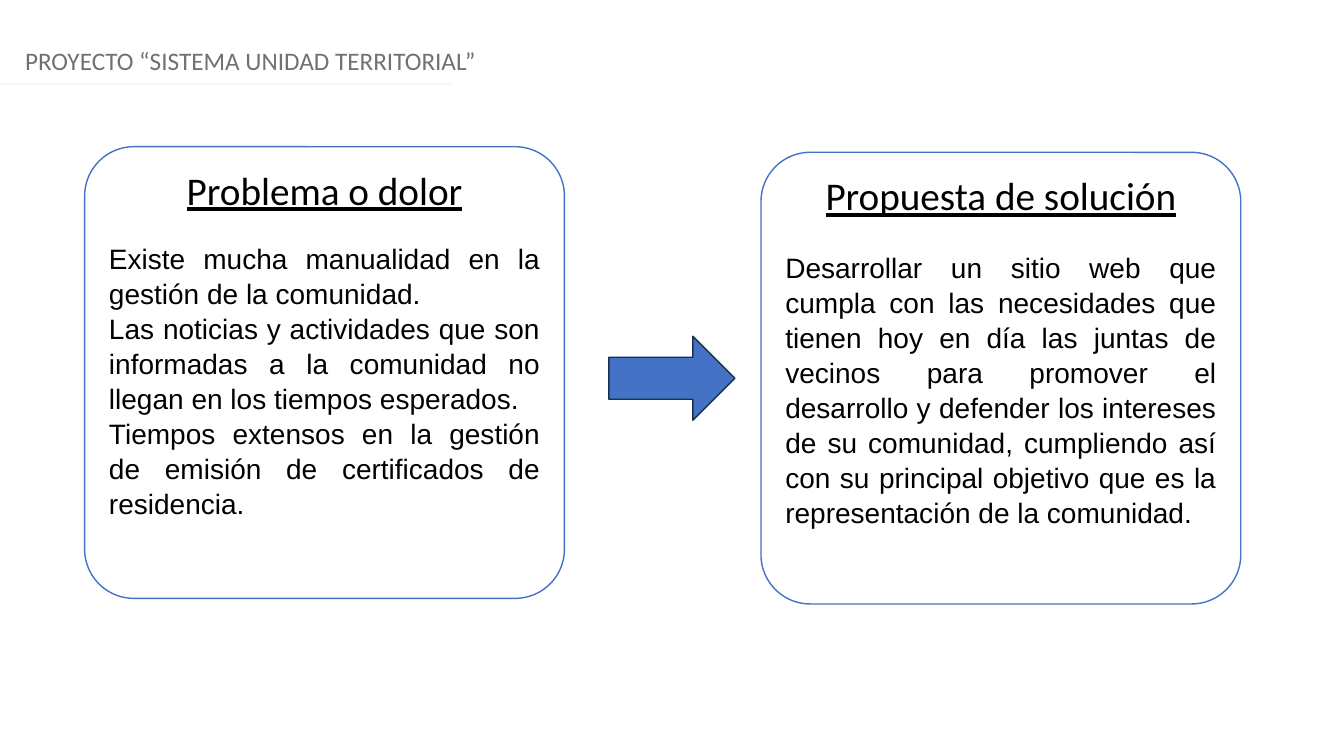
import pptx
import pptx.dml.color
import pptx.enum.shapes
import pptx.enum.text
import pptx.oxml
import pptx.util

Pt = pptx.util.Pt
RGBColor = pptx.dml.color.RGBColor
ALIGN = pptx.enum.text.PP_ALIGN
ANCHOR = pptx.enum.text.MSO_ANCHOR
SHAPE = pptx.enum.shapes.MSO_SHAPE

WHITE = RGBColor(0xFF, 0xFF, 0xFF)
BLACK = RGBColor(0x00, 0x00, 0x00)
GRAY = RGBColor(0x75, 0x70, 0x70)
BLUE = RGBColor(0x44, 0x72, 0xC4)
NAVY = RGBColor(0x1C, 0x30, 0x52)
PALE = RGBColor(0xF5, 0xF7, 0xFC)

CARD_WIDTH, CARD_HEIGHT = 342.7, 322.6

PROBLEM = [
    "Existe mucha manualidad en la gestión de la comunidad.",
    "Las noticias y actividades que son informadas a la comunidad no "
    "llegan en los tiempos esperados.",
    "Tiempos extensos en la gestión de emisión de certificados de residencia.",
]
SOLUTION = [
    "Desarrollar un sitio web que cumpla con las necesidades que tienen hoy "
    "en día las juntas de vecinos para promover el desarrollo y defender los "
    "intereses de su comunidad, cumpliendo así con su principal objetivo que "
    "es la representación de la comunidad.",
]


def style(paragraph, text, font_name, size, color, align=ALIGN.LEFT):
    paragraph.text = text
    paragraph.alignment = align
    paragraph.font.name = font_name
    paragraph.font.size = Pt(size)
    paragraph.font.color.rgb = color


def add_block(slide, kind, left, top, width, height, fill, line):
    shape = slide.shapes.add_shape(kind, Pt(left), Pt(top), Pt(width), Pt(height))
    shape.shadow.inherit = False
    shape.fill.solid()
    shape.fill.fore_color.rgb = fill
    shape.line.color.rgb = line
    shape.line.width = Pt(1)
    return shape


def add_header(slide, left, top, width, height, text):
    # Project name
    box = slide.shapes.add_textbox(Pt(left), Pt(top), Pt(width), Pt(height))
    box.text_frame.word_wrap = True
    style(box.text_frame.paragraphs[0], text, "Calibri", 18, GRAY)

    # Rule from the slide's edge
    rule_top = Pt(top + height + 2)
    rule = slide.shapes.add_connector(
        pptx.enum.shapes.MSO_CONNECTOR.STRAIGHT, 0, rule_top, Pt(322), rule_top)
    rule.line.color.rgb = PALE
    rule.line.width = Pt(1.25)
    rule._element.spPr.append(pptx.oxml.parse_xml(
        '<a:effectLst xmlns:a="http://schemas.openxmlformats.org/drawingml/2006/main"/>'))


def add_card(slide, left, top, width, height, title, body, gap):
    card = add_block(slide, SHAPE.ROUNDED_RECTANGLE, left, top, width, height, WHITE, BLUE)
    card.adjustments[0] = 0.109
    frame = card.text_frame
    frame.word_wrap = True
    frame.vertical_anchor = ANCHOR.TOP

    # Underlined title
    heading = frame.paragraphs[0]
    style(heading, title, "Calibri", 28, BLACK, ALIGN.CENTER)
    heading.font.underline = True
    heading.space_after = Pt(gap)

    # Justified body
    for text in body:
        paragraph = frame.add_paragraph()
        style(paragraph, text, "Arial", 20, BLACK, ALIGN.JUSTIFY)
        paragraph.line_spacing = 1.04


def main():
    presentation = pptx.Presentation()
    presentation.slide_width = Pt(960)
    presentation.slide_height = Pt(540)
    slide = presentation.slides.add_slide(presentation.slide_layouts[6])

    add_header(slide, 10.8, 28.8, 960, 29, "PROYECTO “SISTEMA UNIDAD TERRITORIAL”")
    add_card(slide, 60.5, 104.8, CARD_WIDTH, CARD_HEIGHT, "Problema o dolor", PROBLEM, 19.5)
    add_card(slide, 543.6, 108.8, CARD_WIDTH, CARD_HEIGHT,
             "Propuesta de solución", SOLUTION, 22)
    add_block(slide, SHAPE.RIGHT_ARROW, 434.9, 240.2, 90, 60, BLUE, NAVY)

    presentation.save("out.pptx")


if __name__ == "__main__":
    main()
